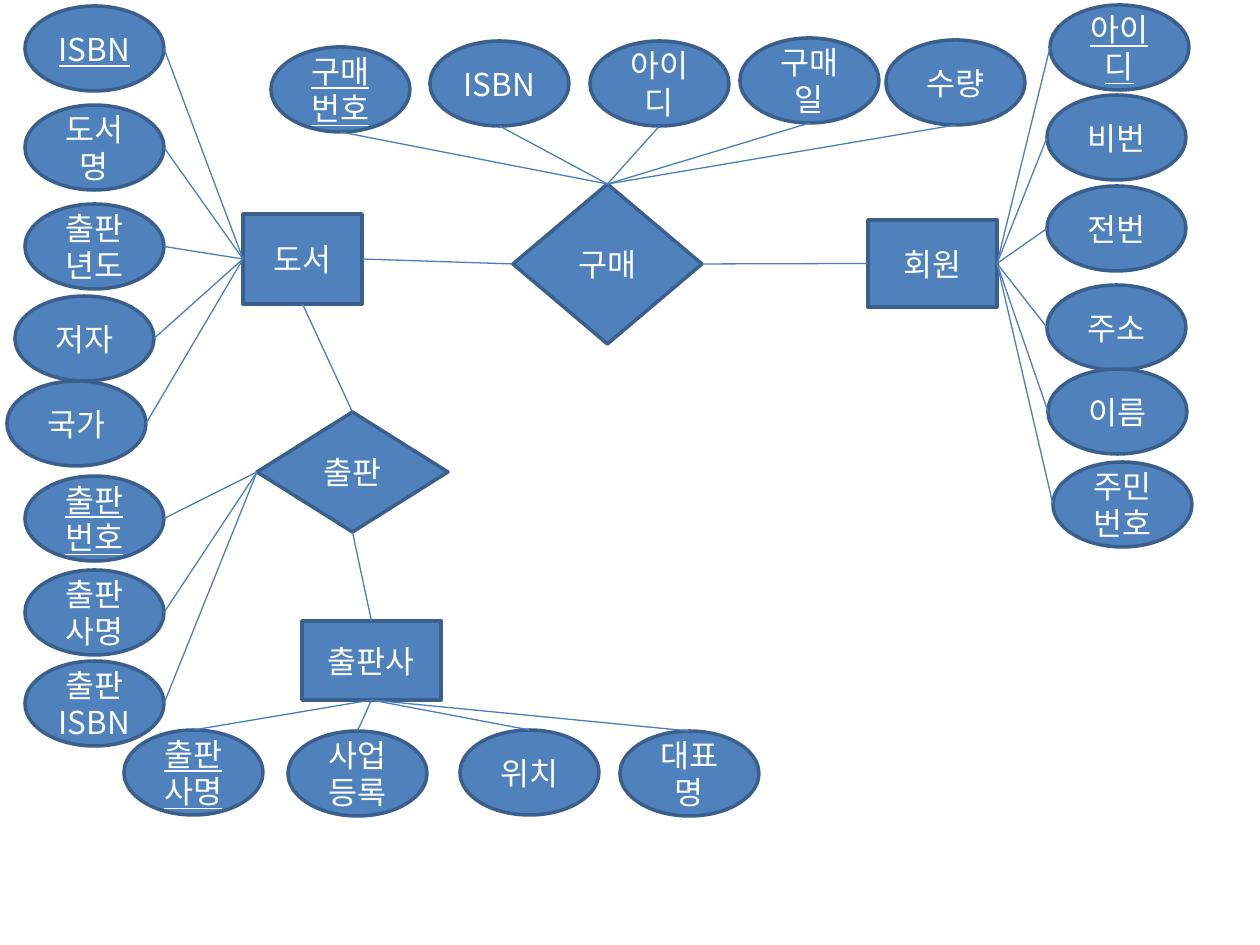
"""Build an entity-relationship diagram of books, members, purchases and publishers."""
from lxml.etree import SubElement
from pptx import Presentation
from pptx.dml.color import RGBColor
from pptx.enum.shapes import MSO_CONNECTOR, MSO_SHAPE
from pptx.enum.text import MSO_ANCHOR, PP_ALIGN
from pptx.oxml.ns import qn
from pptx.util import Pt

PX = 914400 / 126
FONT = "Noto Sans CJK KR"
OVAL_WIDTH, OVAL_HEIGHT = 139, 85
TOP, LEFT, BOTTOM, RIGHT = range(4)
SIDE_OFFSETS = {
    TOP: (OVAL_WIDTH / 2, 0),
    LEFT: (0, OVAL_HEIGHT / 2),
    BOTTOM: (OVAL_WIDTH / 2, OVAL_HEIGHT),
    RIGHT: (OVAL_WIDTH, OVAL_HEIGHT / 2),
}


def color(hex_color):
    return RGBColor.from_string(hex_color)


def add_node(kind, text, left, top, width, height, is_key=False):
    shape = slide.shapes.add_shape(kind, *(round(n * PX) for n in (left, top, width, height)))
    shape.shadow.inherit = False
    shape.fill.solid()
    shape.fill.fore_color.rgb = color("4F81BD")
    shape.line.color.rgb = color("3A5F8C")
    shape.line.width = Pt(2)
    shape.text_frame.word_wrap = True
    shape.text_frame.vertical_anchor = MSO_ANCHOR.MIDDLE
    paragraph = shape.text_frame.paragraphs[0]
    paragraph.text = text
    paragraph.alignment = PP_ALIGN.CENTER
    paragraph.font.size = Pt(18)
    paragraph.font.underline = is_key
    paragraph.font.color.rgb = color("FFFFFF")
    paragraph.font.name = FONT
    SubElement(paragraph.font._element, qn("a:ea"), typeface=FONT)
    return shape


presentation = Presentation()
presentation.slide_width = round(1260 * PX)
presentation.slide_height = round(945 * PX)
slide = presentation.slides.add_slide(presentation.slide_layouts[6])

nodes = {}
for name, kind, box in [
    ("도서", MSO_SHAPE.RECTANGLE, (243, 214, 119, 90)),
    ("회원", MSO_SHAPE.RECTANGLE, (868, 220, 129, 87)),
    ("구매", MSO_SHAPE.DIAMOND, (513, 184, 189, 160)),
    ("출판사", MSO_SHAPE.RECTANGLE, (302, 621, 139, 79)),
    ("출판", MSO_SHAPE.DIAMOND, (257, 412, 191, 120)),
]:
    nodes[name] = add_node(kind, name, *box)

connectors = []
for start, start_side, end, end_side in [
    ("도서", RIGHT, "구매", LEFT),
    ("구매", RIGHT, "회원", LEFT),
    ("도서", BOTTOM, "출판", TOP),
    ("출판", BOTTOM, "출판사", TOP),
]:
    connector = slide.shapes.add_connector(MSO_CONNECTOR.STRAIGHT, 0, 0, 0, 0)
    connector.begin_connect(nodes[start], start_side)
    connector.end_connect(nodes[end], end_side)
    connectors.append(connector)

for owner, owner_side, oval_side, key, ovals in [
    ("도서", LEFT, RIGHT, "ISBN", [
        ("ISBN", 25, 6), ("도서명", 25, 105), ("출판년도", 25, 204),
        ("저자", 15, 296), ("국가", 7, 381)]),
    ("회원", RIGHT, LEFT, "아이디", [
        ("아이디", 1050, 5), ("비번", 1047, 95), ("전번", 1047, 186),
        ("주소", 1047, 285), ("이름", 1048, 369), ("주민번호", 1053, 462)]),
    ("구매", TOP, BOTTOM, "구매번호", [
        ("구매번호", 271, 47), ("ISBN", 430, 41), ("아이디", 590, 41),
        ("구매일", 740, 38), ("수량", 886, 40)]),
    ("출판사", BOTTOM, TOP, "출판사명", [
        ("출판사명", 124, 730), ("사업등록", 288, 731),
        ("위치", 460, 730), ("대표명", 620, 731)]),
    ("출판", LEFT, RIGHT, "출판번호", [
        ("출판번호", 25, 476), ("출판사명", 25, 570), ("출판ISBN", 25, 661)]),
]:
    offset_x, offset_y = SIDE_OFFSETS[oval_side]
    for name, left, top in ovals:
        add_node(MSO_SHAPE.OVAL, name, left, top, OVAL_WIDTH, OVAL_HEIGHT, name == key)
        x, y = round((left + offset_x) * PX), round((top + offset_y) * PX)
        connector = slide.shapes.add_connector(MSO_CONNECTOR.STRAIGHT, x, y, x, y)
        connector.end_connect(nodes[owner], owner_side)
        connectors.append(connector)

for connector in connectors:
    connector.line.color.rgb = color("4B7EBC")
    connector.line.width = Pt(0.75)
    SubElement(connector._element.spPr, qn("a:effectLst"))

presentation.save("out.pptx")
